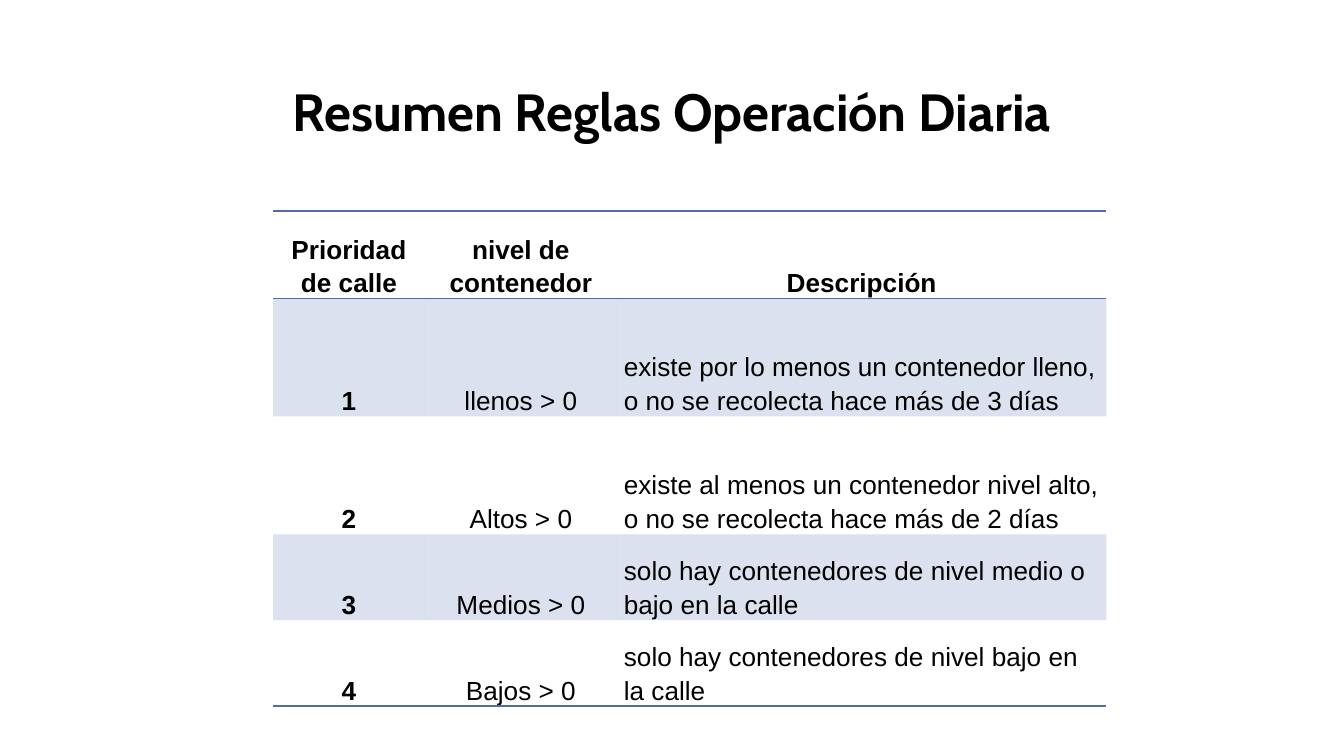
from dataclasses import dataclass

from lxml.etree import SubElement
from pptx import Presentation
from pptx.dml.color import RGBColor
from pptx.enum.text import MSO_ANCHOR as Anchor, PP_ALIGN as Align
from pptx.oxml import parse_xml
from pptx.oxml.ns import nsdecls, qn
from pptx.util import Cm, Pt


@dataclass(frozen=True)
class Theme:
    ink: str = "000000"
    accent: str = "4E6BAC"
    band_alpha: int = 20
    title_font: str = "Cabin"
    body_font: str = "Arial"
    title_size: int = 28
    body_size: int = 14
    line_spacing: float = 1.15
    rule_width: int = 1
    plain_table: str = "{2D5ABB26-0587-4C30-8999-92F81FD0307C}"


HEADERS = ["Prioridad de calle", "nivel de contenedor", "Descripción"]
RULES = [
    ["1", "llenos > 0", "existe por lo menos un contenedor lleno, o no se recolecta hace más de 3 días"],
    ["2", "Altos > 0", "existe al menos un contenedor nivel alto, o no se recolecta hace más de 2 días"],
    ["3", "Medios > 0", "solo hay contenedores de nivel medio o bajo en la calle"],
    ["4", "Bajos > 0", "solo hay contenedores de nivel bajo en la calle"],
]
COLUMN_WIDTHS = [2.87, 3.63, 9.25]
ROW_HEIGHTS = [1.65, 2.23, 2.23, 1.62, 1.62]


def write_text(frame, text, *, font, size, color, bold=False, align=Align.LEFT, spacing=None):
    frame.word_wrap = True
    para = frame.paragraphs[0]
    para.alignment = align
    if spacing:
        para.line_spacing = spacing
    span = para.add_run()
    span.text = text
    span.font.name = font
    span.font.size = Pt(size)
    span.font.bold = bold
    span.font.color.rgb = RGBColor.from_string(color)


class PageBuilder:
    def __init__(self, page, theme):
        self.page = page
        self.theme = theme

    def title(self, text, left, top, width, height):
        box = self.page.shapes.add_textbox(Cm(left), Cm(top), Cm(width), Cm(height))
        frame = box.text_frame
        frame.margin_left = frame.margin_right = Cm(0.25)
        frame.margin_top = frame.margin_bottom = Cm(0.25)
        frame.vertical_anchor = Anchor.TOP
        write_text(frame, text, font=self.theme.title_font, size=self.theme.title_size,
                   color=self.theme.ink, bold=True, align=Align.CENTER)

    def table(self, rows, left, top, widths, heights):
        """Table with a header row, shaded odd rows and rules around header and body."""
        frame = self.page.shapes.add_table(len(rows), len(widths), Cm(left), Cm(top),
                                           Cm(sum(widths)), Cm(sum(heights)))
        table = frame.table
        table.first_row = table.horz_banding = False
        table._tbl.tblPr.find(qn("a:tableStyleId")).text = self.theme.plain_table
        for column, width in zip(table.columns, widths):
            column.width = Cm(width)
        for row, height in zip(table.rows, heights):
            row.height = Cm(height)

        last_row, last_column = len(rows) - 1, len(widths) - 1
        for r, texts in enumerate(rows):
            sides = {0: ["lnT", "lnB"], last_row: ["lnB"]}.get(r, [])
            for c, text in enumerate(texts):
                cell = table.cell(r, c)
                centred = r == 0 or c < last_column
                self.cell_text(cell, text, bold=r == 0 or c == 0,
                               align=Align.CENTER if centred else Align.LEFT)
                self.cell_fill(cell, shaded=r % 2 == 1)
                self.cell_rules(cell, sides)

    def cell_text(self, cell, text, bold, align):
        cell.margin_left = cell.margin_right = Cm(0.13)
        cell.margin_top = cell.margin_bottom = 0
        cell.vertical_anchor = Anchor.BOTTOM
        write_text(cell.text_frame, text, font=self.theme.body_font, size=self.theme.body_size,
                   color=self.theme.ink, bold=bold, align=align, spacing=self.theme.line_spacing)

    def cell_fill(self, cell, shaded):
        if not shaded:
            cell.fill.background()
            return
        cell.fill.solid()
        cell.fill.fore_color.rgb = RGBColor.from_string(self.theme.accent)
        color = cell._tc.tcPr.find(".//" + qn("a:srgbClr"))
        SubElement(color, qn("a:alpha")).set("val", str(self.theme.band_alpha * 1000))

    def cell_rules(self, cell, sides):
        for position, side in enumerate(sides):
            line = parse_xml(
                f'<a:{side} {nsdecls("a")} w="{Pt(self.theme.rule_width)}"><a:solidFill>'
                f'<a:srgbClr val="{self.theme.accent}"/></a:solidFill></a:{side}>')
            cell._tc.tcPr.insert(position, line)


def main():
    deck = Presentation()
    deck.slide_width, deck.slide_height = Cm(25.4), Cm(14.29)
    builder = PageBuilder(deck.slides.add_slide(deck.slide_layouts[6]), Theme())
    builder.title("Resumen Reglas Operación Diaria", 0.86, 1.24, 23.67, 1.6)
    builder.table([HEADERS, *RULES], 5.16, 3.99, COLUMN_WIDTHS, ROW_HEIGHTS)
    deck.save("out.pptx")


if __name__ == "__main__":
    main()
